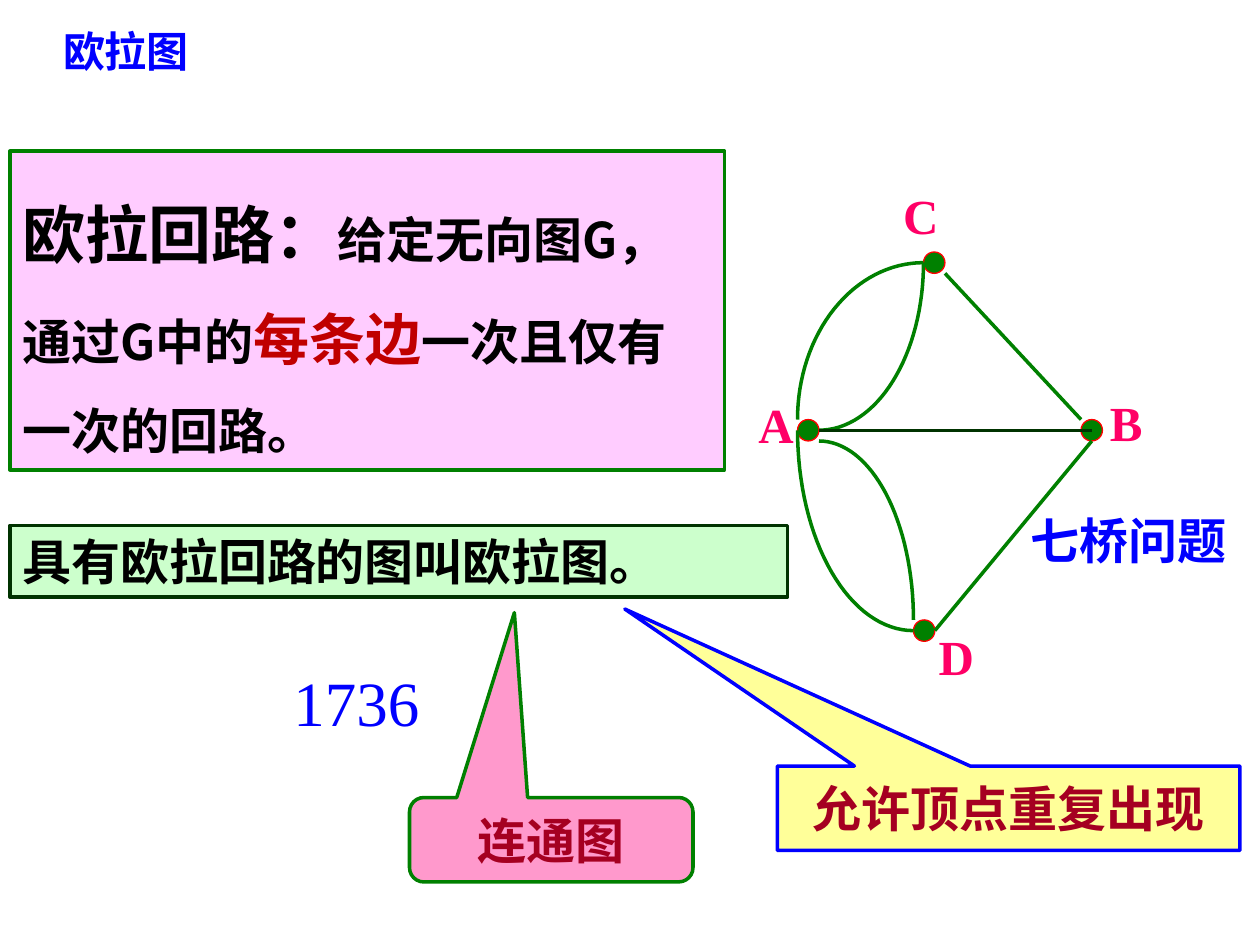
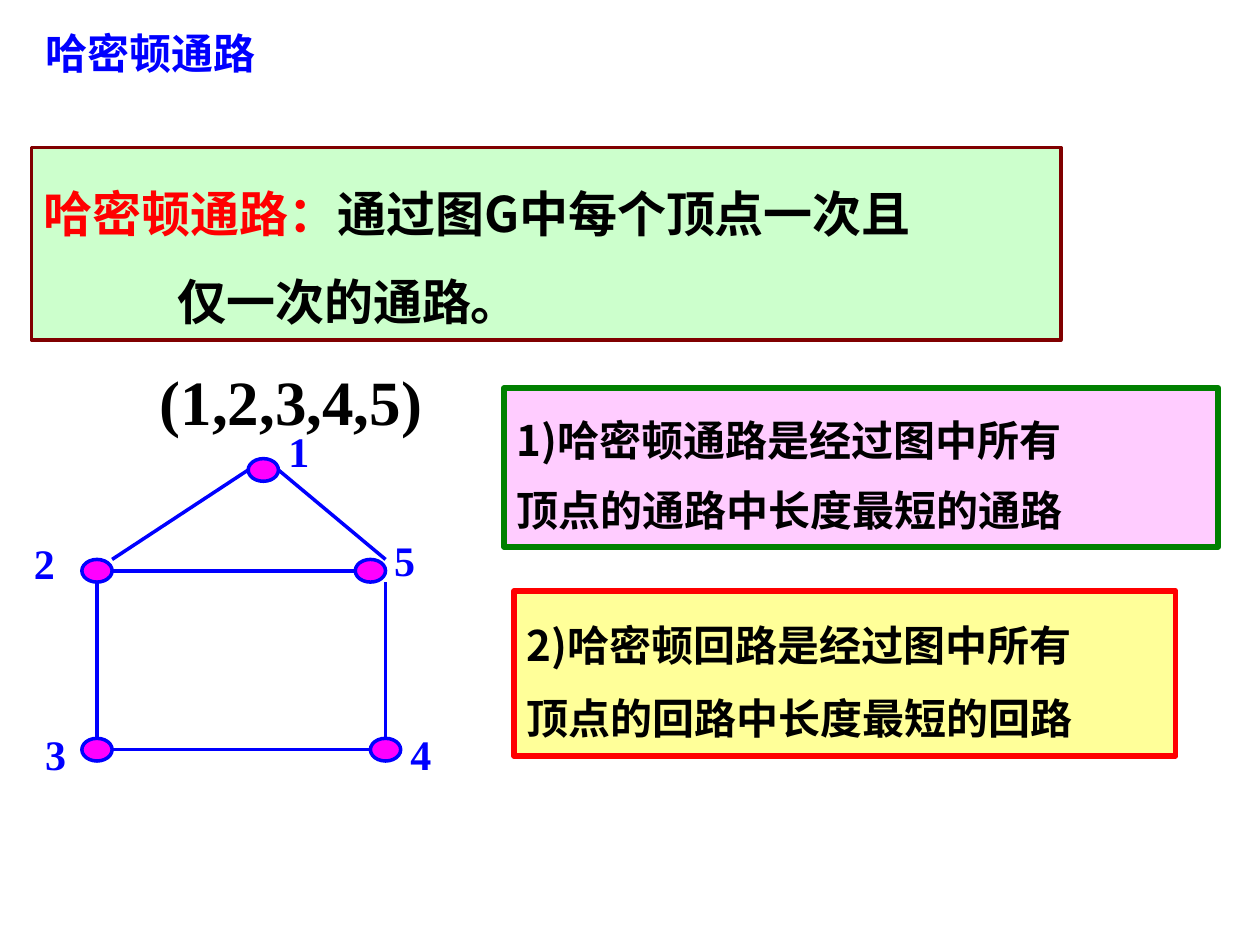
from dataclasses import dataclass
from math import cos, pi, sin

from lxml.etree import SubElement
from pptx import Presentation
from pptx.dml.color import RGBColor
from pptx.enum.shapes import MSO_CONNECTOR, MSO_SHAPE
from pptx.enum.text import MSO_ANCHOR, MSO_AUTO_SIZE, PP_ALIGN
from pptx.oxml.ns import qn
from pptx.util import Pt

PX = 9144
CURVE_STEPS = 32
ANCHORS = {
    "left": (0, 0.5), "right": (1, 0.5), "top": (0.5, 0), "bottom": (0.5, 1),
    "centre": (0.5, 0.5), "top left": (0, 0), "top right": (1, 0), "bottom right": (1, 1),
}


@dataclass(frozen=True)
class Theme:
    """Colours, fonts and type sizes shared by the slides."""
    black: str = "000000"
    blue: str = "0000FF"
    red: str = "FF0000"
    dark_red: str = "C00000"
    crimson: str = "A50021"
    maroon: str = "800000"
    green: str = "008000"
    dark_green: str = "003300"
    rose: str = "FF0066"
    pink: str = "FF99CC"
    magenta: str = "FF00FF"
    pale_pink: str = "FFCCFF"
    pale_green: str = "CCFFCC"
    pale_yellow: str = "FFFF99"
    sans: str = "Noto Sans CJK SC"
    arial: str = "Arial"
    serif: str = "Times New Roman"
    small: int = 24
    body: int = 28
    emphasis: int = 32
    large: int = 36
    thin: float = 0.75
    rule: float = 2
    thick: float = 3.25


THEME = Theme()


@dataclass(frozen=True)
class Words:
    """A run of text with its look."""
    text: str
    size: int = THEME.body
    colour: str = THEME.black
    font: str = THEME.sans
    bold: bool = True


def emu(*lengths):
    """Turn px into EMU."""
    return [round(length * PX) for length in lengths]


def rgb(colour):
    """Turn a hex string into a colour."""
    return RGBColor.from_string(colour)


def write(frame, paragraphs, spacing=None, align=PP_ALIGN.LEFT, indents=()):
    """Fill a text frame, one list of Words per paragraph."""
    for index, words in enumerate(paragraphs):
        paragraph = frame.paragraphs[0] if index == 0 else frame.add_paragraph()
        paragraph.alignment = align
        if spacing:
            paragraph.line_spacing = spacing
        if index < len(indents):
            paragraph._p.get_or_add_pPr().set("marL", str(indents[index] * PX))
        for item in words:
            run = paragraph.add_run()
            run.text = item.text
            run.font.size = Pt(item.size)
            run.font.bold = item.bold
            run.font.name = item.font
            run.font.color.rgb = rgb(item.colour)
            SubElement(run._r.rPr, qn("a:ea"), typeface=THEME.sans)


def outline(shape, colour, width):
    """Give a shape a plain outline and no shadow."""
    shape.shadow.inherit = False
    shape.line.color.rgb = rgb(colour)
    shape.line.width = Pt(width)


def add_preset(slide, preset, place, fill, line, width):
    """Add a filled and outlined preset shape."""
    shape = slide.shapes.add_shape(preset, *emu(*place))
    shape.fill.solid()
    shape.fill.fore_color.rgb = rgb(fill)
    outline(shape, line, width)
    return shape


def add_title(slide, text, place):
    """Place and format the slide title."""
    title = slide.shapes.title
    title.left, title.top, title.width, title.height = emu(*place)
    frame = title.text_frame
    frame.word_wrap = True
    frame.auto_size = MSO_AUTO_SIZE.NONE
    frame.vertical_anchor = MSO_ANCHOR.TOP
    write(frame, [[Words(text, THEME.small, THEME.blue)]])


def add_label(slide, words, place, wrap=True):
    """Add a line of free text."""
    frame = slide.shapes.add_textbox(*emu(*place)).text_frame
    frame.word_wrap = wrap
    frame.auto_size = MSO_AUTO_SIZE.SHAPE_TO_FIT_TEXT
    write(frame, [[words]])


def add_panel(slide, paragraphs, place, fill, line, width=THEME.rule, spacing=None, indents=()):
    """Add a framed statement."""
    panel = add_preset(slide, MSO_SHAPE.RECTANGLE, place, fill, line, width)
    frame = panel.text_frame
    frame.word_wrap = True
    frame.auto_size = MSO_AUTO_SIZE.SHAPE_TO_FIT_TEXT
    frame.vertical_anchor = MSO_ANCHOR.TOP
    write(frame, paragraphs, spacing, indents=indents)


def add_callout(slide, preset, text, place, fill, line, adjustments):
    """Add a callout with centred text."""
    callout = add_preset(slide, preset, place, fill, line, THEME.rule)
    for index, value in enumerate(adjustments):
        callout.adjustments[index] = value
    frame = callout.text_frame
    frame.word_wrap = True
    frame.vertical_anchor = MSO_ANCHOR.MIDDLE
    write(frame, [[Words(text, colour=THEME.crimson)]], align=PP_ALIGN.CENTER)


def add_vertices(slide, corners, size, fill, line, width):
    """Draw the dots of a graph."""
    for corner in corners.values():
        add_preset(slide, MSO_SHAPE.OVAL, (*corner, *size), fill, line, width)


def anchor(corner, size, side):
    """Find a point on the frame of a dot."""
    return [start + length * part for start, length, part in zip(corner, size, ANCHORS[side])]


def add_edge(slide, start, end, colour):
    """Draw a straight edge."""
    edge = slide.shapes.add_connector(MSO_CONNECTOR.STRAIGHT, *emu(*start, *end))
    edge.line.color.rgb = rgb(colour)
    edge.line.width = Pt(THEME.rule)
    SubElement(edge._element.spPr, qn("a:effectLst"))


def add_curve(slide, start, end, colour):
    """Draw a quarter ellipse that leaves start horizontally."""
    (x0, y0), (x1, y1) = start, end
    angles = [step * pi / 2 / CURVE_STEPS for step in range(CURVE_STEPS + 1)]
    points = [emu(x0 + (x1 - x0) * sin(a), y1 + (y0 - y1) * cos(a)) for a in angles]
    builder = slide.shapes.build_freeform(*points[0])
    builder.add_line_segments(points[1:], close=False)
    curve = builder.convert_to_shape()
    curve.fill.background()
    outline(curve, colour, THEME.rule)


def add_bridges(slide):
    """Draw the graph of the seven bridges."""
    size = (17, 17)
    dots = {"D": (725, 492), "B": (858, 333), "A": (633, 333), "C": (733, 200)}
    names = {"C": (707, 142), "D": (735, 492), "A": (592, 308), "B": (871, 307)}
    bridges = [
        (add_edge, "B", "top left", "C", "bottom right", THEME.green),
        (add_edge, "D", "right", "B", "bottom", THEME.green),
        (add_curve, "C", "left", "A", "top left", THEME.green),
        (add_curve, "A", "bottom right", "D", "top left", THEME.green),
        (add_curve, "A", "right", "C", "left", THEME.green),
        (add_curve, "D", "left", "A", "left", THEME.green),
        (add_edge, "A", "right", "B", "centre", THEME.dark_green),
    ]
    add_vertices(slide, dots, size, THEME.green, THEME.red, THEME.thin)
    for name, corner in names.items():
        add_label(slide, Words(name, colour=THEME.rose, font=THEME.serif), (*corner, 48, 57), False)
    for draw, start, start_side, end, end_side, colour in bridges:
        draw(slide, anchor(dots[start], size, start_side), anchor(dots[end], size, end_side), colour)


def add_house(slide):
    """Draw the five-vertex graph."""
    size = (24, 18)
    dots = {"1": (197, 364), "2": (65, 444), "5": (282, 444), "3": (65, 586), "4": (294, 586)}
    names = {"1": (219, 333), "2": (17, 422), "3": (26, 573), "4": (316, 573), "5": (303, 419)}
    edges = [
        ("2", "top right", "1", "left"),
        ("2", "bottom", "3", "top"),
        ("3", "right", "4", "left"),
        ("5", "bottom right", "4", "top"),
        ("2", "right", "5", "left"),
        ("1", "right", "5", "top right"),
    ]
    add_vertices(slide, dots, size, THEME.magenta, THEME.blue, THEME.rule)
    for start, start_side, end, end_side in edges:
        add_edge(slide, anchor(dots[start], size, start_side),
                 anchor(dots[end], size, end_side), THEME.blue)
    for name, corner in names.items():
        add_label(slide, Words(name, THEME.small, THEME.blue, THEME.serif), (*corner, 53, 53), False)


def build_euler(slide):
    """Build the slide on Euler graphs."""
    add_title(slide, "欧拉图", (40, 15, 227, 50))
    add_bridges(slide)
    add_label(slide, Words("七桥问题", colour=THEME.blue, font=THEME.arial), (808, 400, 192, 57))
    definition = [
        [Words("欧拉回路：", THEME.large), Words("给定无向图G，")],
        [Words("通过G中的"), Words("每条边", THEME.emphasis, THEME.dark_red), Words("一次且仅有")],
        [Words("一次的回路。")],
    ]
    add_panel(slide, definition, (8, 120, 567, 253), THEME.pale_pink, THEME.green, spacing=1.5)
    add_panel(slide, [[Words("具有欧拉回路的图叫欧拉图。")]], (8, 417, 617, 57),
              THEME.pale_green, THEME.dark_green)
    add_label(slide, Words("1736", THEME.large, THEME.blue, THEME.serif, False), (223, 522, 193, 70))
    add_callout(slide, MSO_SHAPE.ROUNDED_RECTANGULAR_CALLOUT, "连通图", (325, 633, 225, 67),
                THEME.pink, THEME.green, (-0.13, -2.69, 0.17))
    add_callout(slide, MSO_SHAPE.RECTANGULAR_CALLOUT, "允许顶点重复出现", (617, 608, 367, 67),
                THEME.pale_yellow, THEME.blue, (-0.83, -2.36))


def build_hamilton(slide):
    """Build the slide on Hamilton paths."""
    add_title(slide, "哈密顿通路", (26, 17, 268, 50))
    definition = [
        [Words("哈密顿通路：", colour=THEME.red), Words("通过图G中每个顶点一次且")],
        [Words("仅一次的通路。")],
    ]
    add_panel(slide, definition, (25, 117, 817, 153), THEME.pale_green, THEME.maroon,
              spacing=1.5, indents=(0, 106))
    add_house(slide)
    add_label(slide, Words("(1,2,3,4,5)", THEME.large, font=THEME.serif), (117, 283, 343, 70))
    remarks = [
        (("1)哈密顿通路是经过图中所有", "顶点的通路中长度最短的通路"),
         (400, 308, 567, 126), THEME.pale_pink, THEME.green, 1.4),
        (("2)哈密顿回路是经过图中所有", "顶点的回路中长度最短的回路"),
         (408, 469, 525, 131), THEME.pale_yellow, THEME.red, 1.45),
    ]
    for lines, place, fill, line, spacing in remarks:
        add_panel(slide, [[Words(text, THEME.small)] for text in lines], place,
                  fill, line, THEME.thick, spacing)


def main():
    """Build and save the presentation."""
    deck = Presentation()
    deck.slide_width, deck.slide_height = emu(1000, 750)
    title_only = deck.slide_layouts[5]
    for build in (build_euler, build_hamilton):
        build(deck.slides.add_slide(title_only))
    deck.save("out.pptx")


if __name__ == "__main__":
    main()
